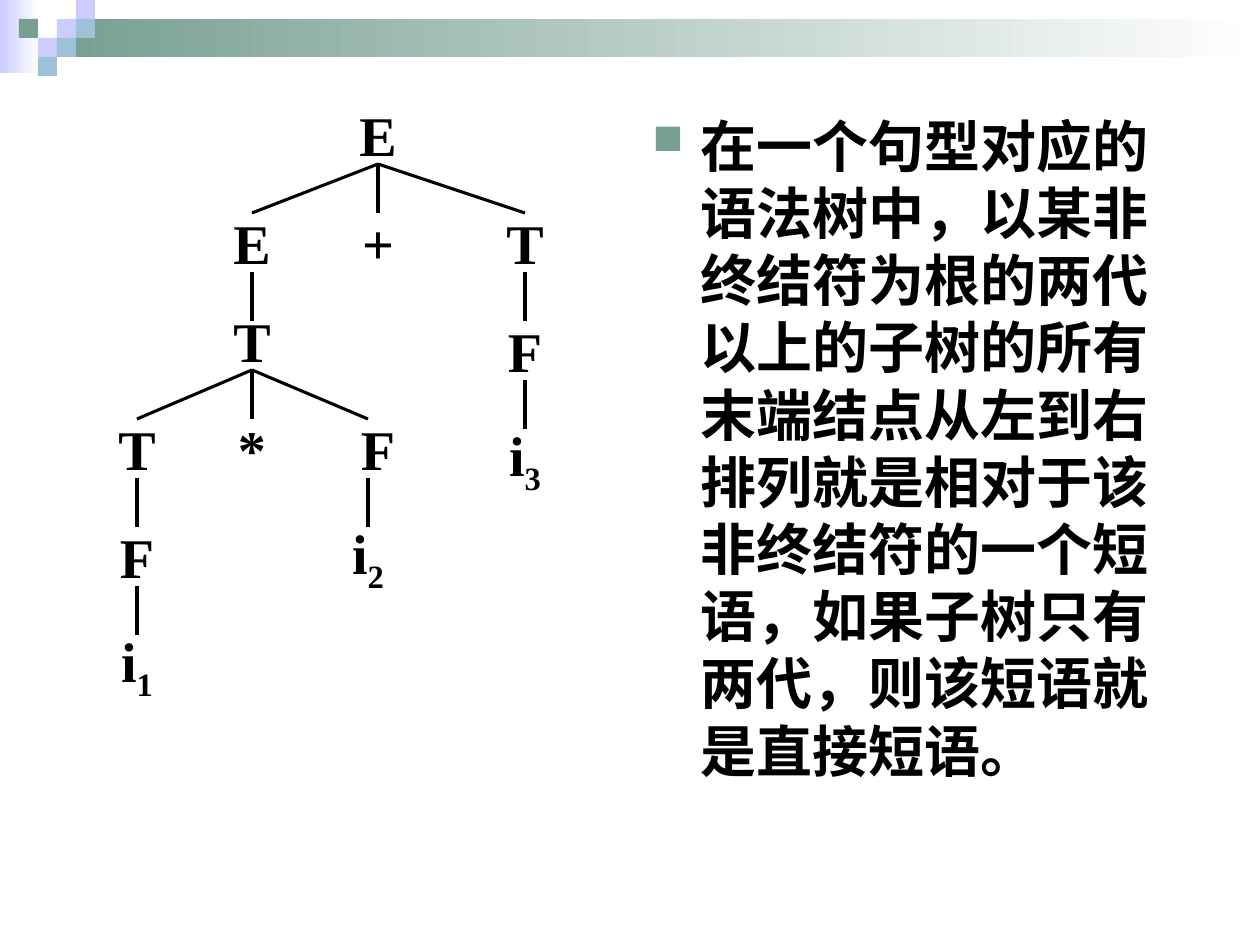
from pptx import Presentation
from pptx.dml.color import RGBColor
from pptx.enum.shapes import MSO_CONNECTOR, MSO_SHAPE
from pptx.enum.text import MSO_ANCHOR, PP_ALIGN
from pptx.oxml.ns import qn
from pptx.util import Emu, Pt
from lxml import etree

RECT = MSO_SHAPE.RECTANGLE
STRAIGHT = MSO_CONNECTOR.STRAIGHT
MIDDLE = MSO_ANCHOR.MIDDLE
CENTER = PP_ALIGN.CENTER
TOP, BOTTOM = 0, 2

THEME = dict(
    ink="000000", white="FFFFFF", lilac="CCCCFF", green="779F92", blue="9DC2D7",
    latin="Times New Roman", cjk="Noto Sans CJK SC", size=32, leading=38.4, line=1.75,
)

BANDS = [
    ((0, 0, 39, 73), "lilac"),
    ((57, 19, 1203, 38), "green"),
]
CELL = 19
CELLS = [
    (3, 1, "lilac"), (4, 0, "lilac"), (4, 1, "blue"), (2, 2, "lilac"),
    (1, 1, "green"), (3, 2, "blue"), (2, 3, "blue"),
]

BODY = "在一个句型对应的语法树中，以某非终结符为根的两代以上的子树的所有末端结点从左到右排列就是相对于该非终结符的一个短语，如果子树只有两代，则该短语就是直接短语。"
BODY_BOX = (640, 105, 567, 777)
INDENT = 48

NODE_W, NODE_H = 84, 59
NODES = {
    "root": ("E", "", 378, 105),
    "left": ("E", "", 252, 213),
    "plus": ("+", "", 378, 213),
    "right": ("T", "", 525, 213),
    "product": ("T", "", 252, 311),
    "factor 3": ("F", "", 525, 321),
    "leaf 3": ("i", "3", 525, 429),
    "term 1": ("T", "", 137, 419),
    "times": ("*", "", 252, 419),
    "factor 2": ("F", "", 378, 419),
    "factor 1": ("F", "", 137, 527),
    "leaf 2": ("i", "2", 368, 527),
    "leaf 1": ("i", "1", 137, 635),
}
EDGES = [
    ("root", "left"), ("root", "plus"), ("root", "right"),
    ("left", "product"), ("right", "factor 3"), ("factor 3", "leaf 3"),
    ("product", "term 1"), ("product", "times"), ("product", "factor 2"),
    ("term 1", "factor 1"), ("factor 1", "leaf 1"), ("factor 2", "leaf 2"),
]
FREE_STARTS = {("factor 2", "leaf 2"): (368, 478)}
FREE_ENDS = {("left", "product"): (252, 321), ("product", "factor 2"): (368, 419)}


def px(n):
    return Emu(round(n * 914400 / 126))


def color(name):
    return RGBColor.from_string(THEME[name])


def add_rect(s, box, name, fade=False):
    sp = s.shapes.add_shape(RECT, *map(px, box))
    sp.shadow.inherit = False
    sp.line.fill.background()
    if fade:
        sp.fill.gradient()
        sp.fill.gradient_angle = 0
        for stop, tint, pos in zip(sp.fill.gradient_stops, (name, "white"), (0, 1)):
            stop.color.rgb = color(tint)
            stop.position = pos
    else:
        sp.fill.solid()
        sp.fill.fore_color.rgb = color(name)


def add_run(p, text, font):
    r = p.add_run()
    r.text = text
    r.font.size = Pt(THEME["size"])
    r.font.bold = True
    r.font.name = THEME[font]
    r.font.color.rgb = color("ink")
    etree.SubElement(r.font._element, qn("a:ea"), typeface=THEME[font])
    return r


def add_body(s):
    tf = s.shapes.add_textbox(*map(px, BODY_BOX)).text_frame
    tf.word_wrap = True
    p = tf.paragraphs[0]
    p.line_spacing = Pt(THEME["leading"])
    pPr = p._p.get_or_add_pPr()
    pPr.set("marL", str(px(INDENT)))
    pPr.set("indent", str(px(-INDENT)))
    bullet_color = etree.SubElement(pPr, qn("a:buClr"))
    etree.SubElement(bullet_color, qn("a:srgbClr"), val=THEME["green"])
    etree.SubElement(pPr, qn("a:buSzPct"), val="75000")
    etree.SubElement(pPr, qn("a:buChar"), char="■")
    add_run(p, BODY, "cjk")


def add_node(s, symbol, index, x, y):
    sp = s.shapes.add_textbox(px(x - NODE_W / 2), px(y), px(NODE_W), px(NODE_H))
    tf = sp.text_frame
    tf.word_wrap = False
    tf.vertical_anchor = MIDDLE
    p = tf.paragraphs[0]
    p.alignment = CENTER
    add_run(p, symbol, "latin")
    if index:
        add_run(p, index, "latin").font._element.set("baseline", "-25000")
    return sp


def add_edge(s, boxes, edge):
    parent, child = edge
    x1, y1 = FREE_STARTS.get(edge, (NODES[parent][2], NODES[parent][3] + NODE_H))
    x2, y2 = FREE_ENDS.get(edge, NODES[child][2:])
    line = s.shapes.add_connector(STRAIGHT, px(x1), px(y1), px(x2), px(y2))
    line.line.color.rgb = color("ink")
    line.line.width = Pt(THEME["line"])
    etree.SubElement(line._element.spPr, qn("a:effectLst"))
    if edge not in FREE_STARTS:
        line.begin_connect(boxes[parent], BOTTOM)
    if edge not in FREE_ENDS:
        line.end_connect(boxes[child], TOP)


def main():
    prs = Presentation()
    prs.slide_width, prs.slide_height = px(1260), px(945)
    s = prs.slides.add_slide(prs.slide_layouts[6])
    for box, name in BANDS:
        add_rect(s, box, name, fade=True)
    for col, row, name in CELLS:
        add_rect(s, (col * CELL, row * CELL, CELL, CELL), name)
    add_body(s)
    boxes = {key: add_node(s, *node) for key, node in NODES.items()}
    for edge in EDGES:
        add_edge(s, boxes, edge)
    prs.save("out.pptx")


if __name__ == "__main__":
    main()
